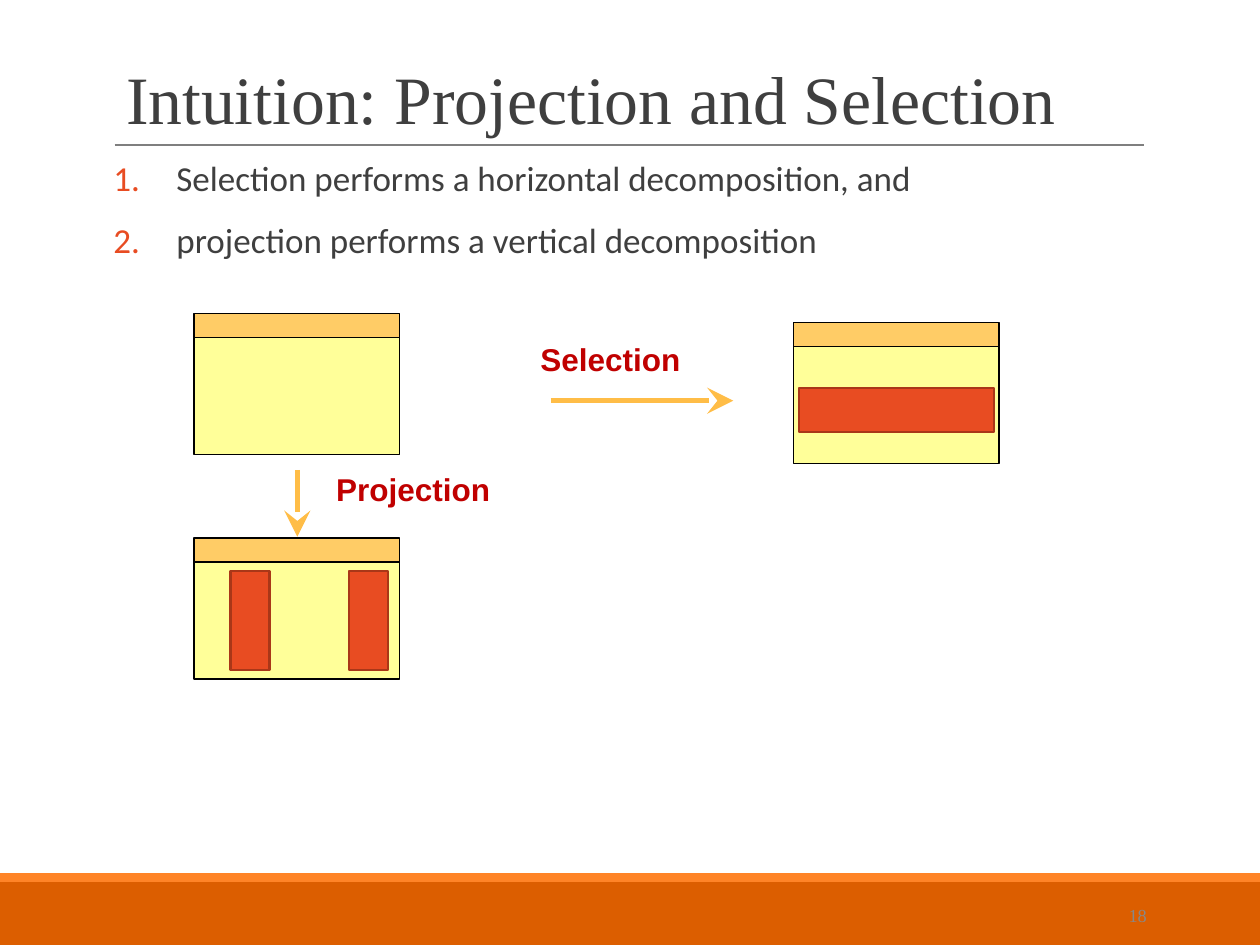
from lxml import etree
from pptx import Presentation
from pptx.dml.color import RGBColor
from pptx.enum.shapes import MSO_CONNECTOR, MSO_SHAPE
from pptx.enum.text import MSO_ANCHOR, MSO_AUTO_SIZE, PP_ALIGN
from pptx.oxml.ns import qn
from pptx.util import Inches, Pt

RECTANGLE = MSO_SHAPE.RECTANGLE
STRAIGHT = MSO_CONNECTOR.STRAIGHT
TOP, MIDDLE, BOTTOM = MSO_ANCHOR.TOP, MSO_ANCHOR.MIDDLE, MSO_ANCHOR.BOTTOM
LEFT, RIGHT = PP_ALIGN.LEFT, PP_ALIGN.RIGHT
NO_AUTOFIT = MSO_AUTO_SIZE.NONE

COLORS = {
    "footer": "DC5E00", "stripe": "FF8427", "rule": "7F7F7F",
    "text": "3F3F3F", "number": "888888", "label": "C00000",
    "body": "FFFF99", "header": "FFCC66", "border": "000000",
    "arrow": "FFBD47", "accent": "E84C22", "accent_border": "A93718",
}

TITLE = "Intuition: Projection and Selection"
POINTS = [
    "Selection performs a horizontal decomposition, and",
    "projection performs a vertical decomposition",
]
BARS = [("footer", (0, 7, 10, 0.5)), ("stripe", (0, 6.93, 10, 0.07))]
RELATIONS = [(1.54, 2.49), (6.3, 2.56), (1.54, 4.27)]
RELATION_WIDTH, HEADER_HEIGHT, BODY_HEIGHT = 1.63, 0.19, 0.93
HIGHLIGHTS = [
    (6.34, 3.08, 1.55, 0.35),
    (1.83, 4.53, 0.31, 0.79),
    (2.77, 4.53, 0.31, 0.79),
]
LABELS = [
    ("Selection", (4.19, 2.65, 1.82, 0.4)),
    ("Projection", (2.57, 3.68, 1.52, 0.4)),
]
ARROWS = [(4.37, 3.18, 5.82, 3.18), (2.36, 3.73, 2.36, 4.26)]


def color(name):
    return RGBColor.from_string(COLORS[name])


def inches(values):
    return [Inches(value) for value in values]


def add_rectangle(page, area, fill, border=None, width=0.75):
    box = page.shapes.add_shape(RECTANGLE, *inches(area))
    box.shadow.inherit = False
    box.fill.solid()
    box.fill.fore_color.rgb = color(fill)
    if border:
        box.line.color.rgb = color(border)
        box.line.width = Pt(width)
    else:
        box.line.fill.background()


def add_line(page, ends, line_color, width, arrow=False):
    line = page.shapes.add_connector(STRAIGHT, *inches(ends))
    line.line.color.rgb = color(line_color)
    line.line.width = Pt(width)
    properties = line._element.spPr
    if arrow:
        etree.SubElement(properties.find(qn("a:ln")), qn("a:tailEnd"),
                         type="stealth", w="lg", len="lg")
    etree.SubElement(properties, qn("a:effectLst"))


def prepare_frame(box, area, anchor=TOP, side=0.1):
    box.left, box.top, box.width, box.height = inches(area)
    frame = box.text_frame
    frame.word_wrap = True
    frame.auto_size = NO_AUTOFIT
    frame.vertical_anchor = anchor
    frame.margin_left = frame.margin_right = Inches(side)
    frame.margin_top = frame.margin_bottom = Inches(0.05)
    return frame


def add_span(para, text, size, font, text_color, bold=False, align=LEFT):
    para.alignment = align
    span = para.add_run()
    span.text = text
    span.font.size = Pt(size)
    span.font.name = font
    span.font.bold = bold
    span.font.color.rgb = color(text_color)


def add_text(page, area, text, size, font, text_color, bold=False,
             align=LEFT, anchor=TOP):
    box = page.shapes.add_textbox(*inches(area))
    frame = prepare_frame(box, area, anchor)
    add_span(frame.paragraphs[0], text, size, font, text_color, bold, align)


def number_paragraph(para):
    properties = para._p.get_or_add_pPr()
    properties.set("marL", str(Inches(0.5)))
    properties.set("indent", str(Inches(-0.5)))
    bullet_color = etree.SubElement(properties, qn("a:buClr"))
    etree.SubElement(bullet_color, qn("a:srgbClr"), val=COLORS["accent"])
    etree.SubElement(properties, qn("a:buFont"), typeface="+mj-lt")
    etree.SubElement(properties, qn("a:buAutoNum"), type="arabicPeriod")


def fill_placeholders(page):
    frame = prepare_frame(page.shapes.title, (0.9, 0.31, 8.25, 0.84), BOTTOM)
    para = frame.paragraphs[0]
    para.line_spacing = 0.85
    add_span(para, TITLE, 38.7, "Times New Roman", "text")

    frame = prepare_frame(page.placeholders[1], (0.9, 1.23, 8.25, 5.19), side=0)
    for index, point in enumerate(POINTS):
        para = frame.add_paragraph() if index else frame.paragraphs[0]
        number_paragraph(para)
        para.line_spacing = 0.9
        para.space_before = Pt(14 if index else 0)
        add_span(para, point, 20, "Calibri", "text")


def main():
    deck = Presentation()
    deck.slide_width, deck.slide_height = Inches(10), Inches(7.5)
    page = deck.slides.add_slide(deck.slide_layouts[1])
    fill_placeholders(page)

    for fill, area in BARS:
        add_rectangle(page, area, fill)
    add_line(page, (0.91, 1.15, 9.08, 1.15), "rule", 0.75)

    for left, top in RELATIONS:
        add_rectangle(page, (left, top + HEADER_HEIGHT, RELATION_WIDTH, BODY_HEIGHT),
                      "body", "border")
        add_rectangle(page, (left, top, RELATION_WIDTH, HEADER_HEIGHT),
                      "header", "border")
    for area in HIGHLIGHTS:
        add_rectangle(page, area, "accent", "accent_border", 1.25)
    for ends in ARROWS:
        add_line(page, ends, "arrow", 3, arrow=True)
    for text, area in LABELS:
        add_text(page, area, text, 18, "Arial", "label", bold=True)
    add_text(page, (8.12, 7.06, 1.08, 0.4), "18", 10.5, "Times New Roman",
             "number", align=RIGHT, anchor=MIDDLE)

    deck.save("out.pptx")


if __name__ == "__main__":
    main()
